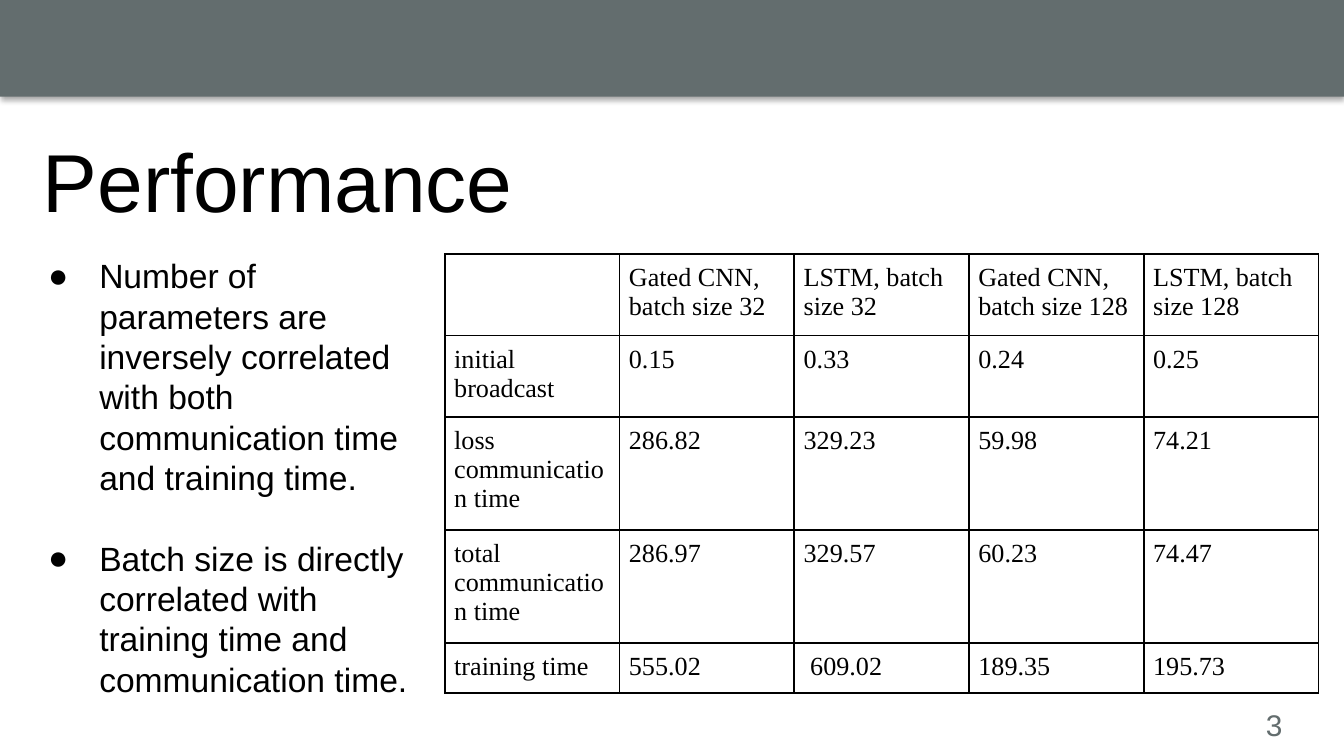
from lxml.etree import SubElement
from pptx import Presentation
from pptx.dml.color import RGBColor as RGB
from pptx.enum.shapes import MSO_SHAPE as SHAPE
from pptx.oxml import parse_xml
from pptx.oxml.ns import nsdecls, qn
from pptx.util import Inches, Pt

COLORS = {"banner": "636D6E", "text": "000000", "shadow": "000000"}
BULLETS = [
    "Number of parameters are inversely correlated with both "
    "communication time and training time.",
    "Batch size is directly correlated with training time and "
    "communication time.",
]
TIMINGS = [
    ["", "Gated CNN, batch size 32", "LSTM, batch size 32",
     "Gated CNN,\nbatch size 128", "LSTM, batch size 128"],
    ["initial broadcast", "0.15", "0.33", "0.24", "0.25"],
    ["loss communication time", "286.82", "329.23", "59.98", "74.21"],
    ["total communication time", "286.97", "329.57", "60.23", "74.47"],
    ["training time", "555.02", " 609.02", "189.35", "195.73"],
]


class SlideBuilder:
    def __init__(self, slide, colors):
        self.s = slide
        self.colors = colors

    def color(self, name):
        return RGB.from_string(self.colors[name])

    def format_text(self, p, font, size, color="text"):
        for r in p.runs:
            for key, value in {"name": font, "size": Pt(size)}.items():
                setattr(r.font, key, value)
            r.font.color.rgb = self.color(color)

    def set_margins(self, target, x, y):
        margins = {"left": x, "right": x, "top": y, "bottom": y}
        for side, value in margins.items():
            setattr(target, f"margin_{side}", Inches(value))

    def banner(self, x, y, w, h):
        sp = self.s.shapes.add_shape(SHAPE.RECTANGLE, *map(Inches, (x, y, w, h)))
        sp.fill.solid()
        sp.fill.fore_color.rgb = self.color("banner")
        sp.line.fill.background()
        sp._element.spPr.append(parse_xml(
            f'<a:effectLst {nsdecls("a")}>'
            f'<a:outerShdw blurRad="{Pt(3.1)}" dist="{Pt(1.8)}" dir="5400000">'
            f'<a:srgbClr val="{self.colors["shadow"]}"><a:alpha val="35000"/>'
            '</a:srgbClr></a:outerShdw></a:effectLst>'))

    def text(self, box, lines, size, color="text", inset=0.05):
        tf = self.s.shapes.add_textbox(*map(Inches, box)).text_frame
        tf.word_wrap = True
        self.set_margins(tf, 0.1, inset)
        tf.text = "\n".join(lines)
        for p in tf.paragraphs:
            self.format_text(p, "Arial", size, color)
        return tf

    def bullets(self, box, lines, size, gap):
        tf = self.text(box, lines, size, inset=0.1)
        for i, p in enumerate(tf.paragraphs):
            if i:
                p.space_before = Pt(gap)
            pPr = p._p.get_or_add_pPr()
            pPr.set("marL", str(Inches(0.5)))
            pPr.set("indent", str(Inches(-0.38)))
            clr = SubElement(pPr, qn("a:buClr"))
            SubElement(clr, qn("a:srgbClr")).set("val", self.colors["text"])
            SubElement(pPr, qn("a:buFont")).set("typeface", "Arial")
            SubElement(pPr, qn("a:buChar")).set("char", "●")

    def border(self, cell):
        tcPr = cell._tc.get_or_add_tcPr()
        for i, side in enumerate(("lnL", "lnR", "lnT", "lnB")):
            tcPr.insert(i, parse_xml(
                f'<a:{side} {nsdecls("a")} w="{Pt(1)}"><a:solidFill>'
                f'<a:srgbClr val="{self.colors["text"]}"/></a:solidFill></a:{side}>'))

    def table(self, x, y, size, col_width, rows):
        frame = self.s.shapes.add_table(
            len(rows), len(rows[0]), *map(Inches, (x, y, size, size)))
        table = frame.table
        table.first_row = table.horz_banding = False
        for col in table.columns:
            col.width = Inches(col_width)
        for row, values in zip(table.rows, rows):
            row.height = Inches(0.01)  # rows grow to fit their text
            for cell, value in zip(row.cells, values):
                cell.text = value
                self.set_margins(cell, 0.07, 0.07)
                cell.fill.background()
                self.border(cell)
                for p in cell.text_frame.paragraphs:
                    self.format_text(p, "Times New Roman", 14)
        frame.width = frame.height = Inches(size)


def main():
    prs = Presentation()
    prs.slide_width, prs.slide_height = Inches(10), Inches(10) * 9 // 16
    b = SlideBuilder(prs.slides.add_slide(prs.slide_layouts[6]), COLORS)

    # Banner and page number
    b.banner(0, -0.03, 10, 0.75)
    b.text((9.32, 5.21, 0.48, 0.37), ["3"], 16, "banner")

    # Title and findings
    b.text((0.22, 0.92, 5.13, 0.78), ["Performance"], 44)
    b.bullets((0.14, 1.8, 3.09, 3.59), BULLETS, 18, gap=21.6)

    # Timing table
    b.table(3.31, 1.89, 3.28, 1.3, TIMINGS)

    prs.save("out.pptx")


if __name__ == "__main__":
    main()
